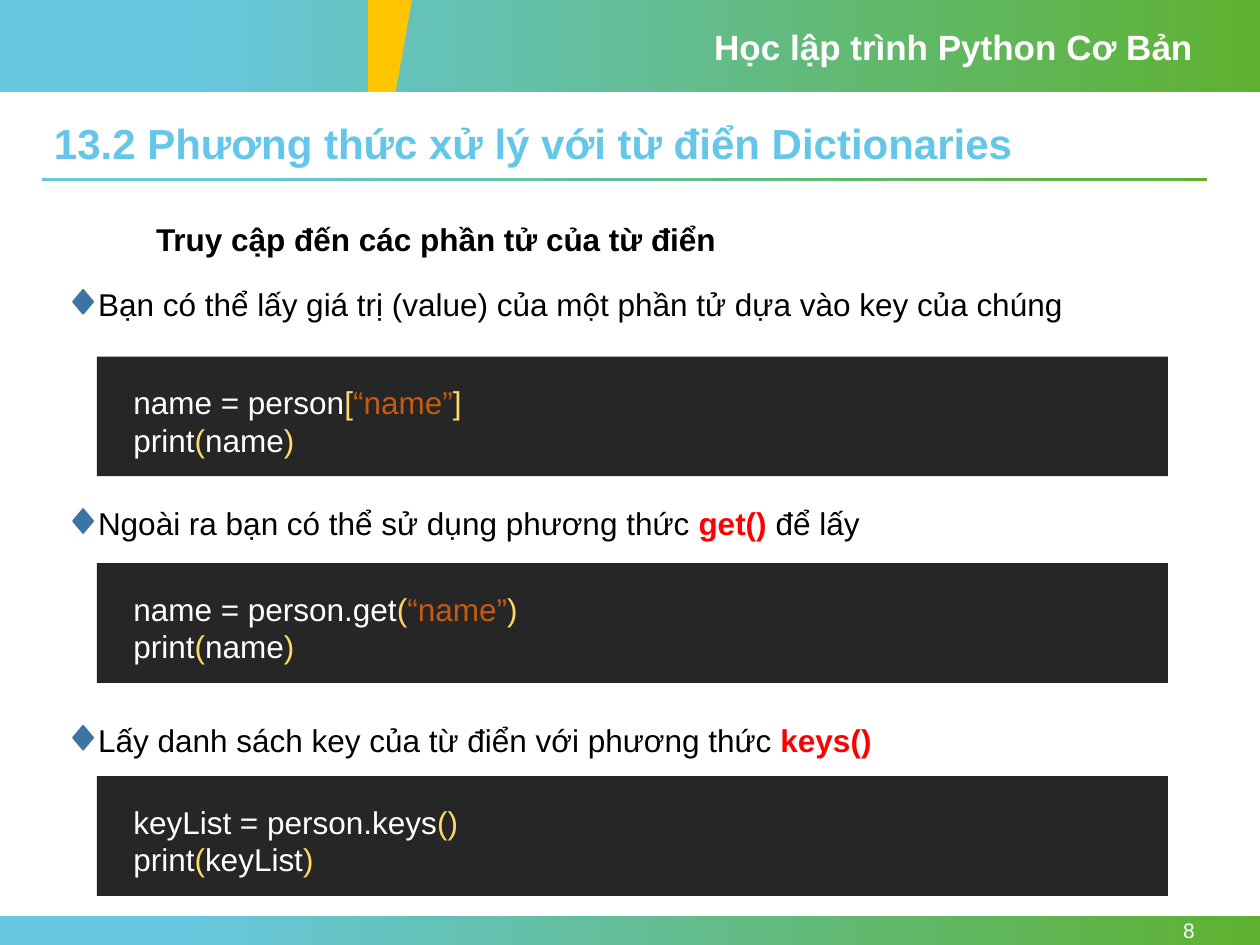
from pptx import Presentation
from pptx.dml.color import RGBColor
from pptx.enum import shapes, text
from pptx.util import Inches, Pt

FONT = "Arial"
SKY = RGBColor(0x67, 0xC7, 0xDF)
GREEN = RGBColor(0x5E, 0xB1, 0x30)
YELLOW = RGBColor(0xFF, 0xC5, 0x00)
TITLE_BLUE = RGBColor(0x64, 0xC7, 0xE9)
DIAMOND_FILL = RGBColor(0x3A, 0x75, 0xA6)
DIAMOND_LINE = RGBColor(0x43, 0x73, 0x9E)
PANEL = RGBColor(0x26, 0x26, 0x26)
WHITE = RGBColor(0xFF, 0xFF, 0xFF)
BLACK = RGBColor(0x00, 0x00, 0x00)
RED = RGBColor(0xFF, 0x00, 0x00)
BRACKET = RGBColor(0xFF, 0xD9, 0x66)
STRING = RGBColor(0xC5, 0x5A, 0x11)

PAGE_WIDTH, PAGE_HEIGHT = Inches(10), Inches(7.5)
MARGIN, CONTENT_WIDTH = Inches(0.33), Inches(9.25)

SECTIONS = [
    (2.21, 2.83,
     [("Bạn có thể lấy giá trị (value) của một phần tử dựa vào key của chúng", BLACK)],
     [[("name = person", WHITE), ("[", BRACKET), ("“name”", STRING), ("]", BRACKET)],
      [("print", WHITE), ("(", BRACKET), ("name", WHITE), (")", BRACKET)]]),
    (3.95, 4.47,
     [("Ngoài ra bạn có thể sử dụng phương thức ", BLACK), ("get() ", RED), ("để lấy", BLACK)],
     [[("name = person.get", WHITE), ("(", BRACKET), ("“name”", STRING), (")", BRACKET)],
      [("print", WHITE), ("(", BRACKET), ("name", WHITE), (")", BRACKET)]]),
    (5.67, 6.16,
     [("Lấy danh sách key của từ điển với phương thức ", BLACK), ("keys()", RED)],
     [[("keyList = person.keys", WHITE), ("()", BRACKET)],
      [("print", WHITE), ("(", BRACKET), ("keyList", WHITE), (")", BRACKET)]]),
]


def add_text(page, left, top, width, height, lines, size=18, bold=False):
    box = page.shapes.add_textbox(left, top, width, height)
    frame = box.text_frame
    frame.word_wrap = True
    for index, spans in enumerate(lines):
        para = frame.paragraphs[0] if index == 0 else frame.add_paragraph()
        for words, colour in spans:
            span = para.add_run()
            span.text = words
            span.font.name = FONT
            span.font.size = Pt(size)
            span.font.bold = bold or colour == RED
            span.font.color.rgb = colour
    return frame


def add_solid(page, kind, left, top, width, height, fill, line=None):
    shape = page.shapes.add_shape(kind, left, top, width, height)
    shape.shadow.inherit = False
    shape.fill.solid()
    shape.fill.fore_color.rgb = fill
    if line is None:
        shape.line.fill.background()
    else:
        shape.line.color.rgb = line
        shape.line.width = Pt(1)


def add_gradient_bar(page, left, top, width, height):
    bar = page.shapes.add_shape(shapes.MSO_SHAPE.RECTANGLE, left, top, width, height)
    bar.shadow.inherit = False
    bar.line.fill.background()
    bar.fill.gradient()
    bar.fill.gradient_angle = 0
    for stop, position, colour in zip(bar.fill.gradient_stops, (0.15, 1), (SKY, GREEN)):
        stop.position = position
        stop.color.rgb = colour


def add_header(page, left, top, width, height):
    add_gradient_bar(page, left, top, width, height)
    add_text(page, left + Inches(5.57), top + Inches(0.15), Inches(4), Inches(0.44),
             [[("Học lập trình Python Cơ Bản", WHITE)]], size=20, bold=True)
    accent_left = left + Inches(2.92)
    builder = page.shapes.build_freeform(accent_left, top)
    builder.add_line_segments([
        (accent_left + Inches(0.35), top),
        (accent_left + Inches(0.22), top + height),
        (accent_left, top + height),
    ])
    accent = builder.convert_to_shape()
    accent.shadow.inherit = False
    accent.fill.solid()
    accent.fill.fore_color.rgb = YELLOW
    accent.line.fill.background()


def add_footer(page, left, top, width, height):
    add_gradient_bar(page, left, top, width, height)
    frame = add_text(page, left + Inches(8.66), top, Inches(0.92), height,
                     [[("8", WHITE)]], size=12)
    frame.vertical_anchor = text.MSO_ANCHOR.MIDDLE
    frame.paragraphs[0].alignment = text.PP_ALIGN.RIGHT


def add_title(page, left, top, width, height):
    frame = add_text(page, left, top, width, height,
                     [[("13.2 Phương thức xử lý với từ điển Dictionaries", TITLE_BLUE)]],
                     size=24, bold=True)
    frame.paragraphs[0].line_spacing = 0.9
    add_gradient_bar(page, left, top + Inches(0.48), width, Inches(0.03))


def add_bullet(page, left, top, width, height, spans):
    add_solid(page, shapes.MSO_SHAPE.FLOWCHART_DECISION, left, top + Inches(0.09),
              Inches(0.16), Inches(0.19), DIAMOND_FILL, DIAMOND_LINE)
    indent = Inches(0.1)
    add_text(page, left + indent, top, width - indent, height, [spans])


def add_code_panel(page, left, top, width, height, lines):
    add_solid(page, shapes.MSO_SHAPE.RECTANGLE, left, top, width, height, PANEL)
    add_text(page, left + Inches(0.19), top + Inches(0.16),
             width - Inches(0.4), Inches(0.71), lines)


def main():
    deck = Presentation()
    deck.slide_width, deck.slide_height = PAGE_WIDTH, PAGE_HEIGHT
    page = deck.slides.add_slide(deck.slide_layouts[6])
    footer_height = Inches(0.23)
    add_header(page, 0, 0, PAGE_WIDTH, Inches(0.73))
    add_footer(page, 0, PAGE_HEIGHT - footer_height, PAGE_WIDTH, footer_height)
    add_title(page, MARGIN, Inches(0.93), CONTENT_WIDTH, Inches(0.46))
    add_text(page, Inches(1.14), Inches(1.7), Inches(7.03), Inches(0.4),
             [[("Truy cập đến các phần tử của từ điển", BLACK)]], bold=True)
    for bullet_top, panel_top, spans, code in SECTIONS:
        add_bullet(page, Inches(0.58), Inches(bullet_top), Inches(8.83), Inches(0.4), spans)
        add_code_panel(page, Inches(0.77), Inches(panel_top), Inches(8.5), Inches(0.95), code)
    deck.save("out.pptx")


if __name__ == "__main__":
    main()
